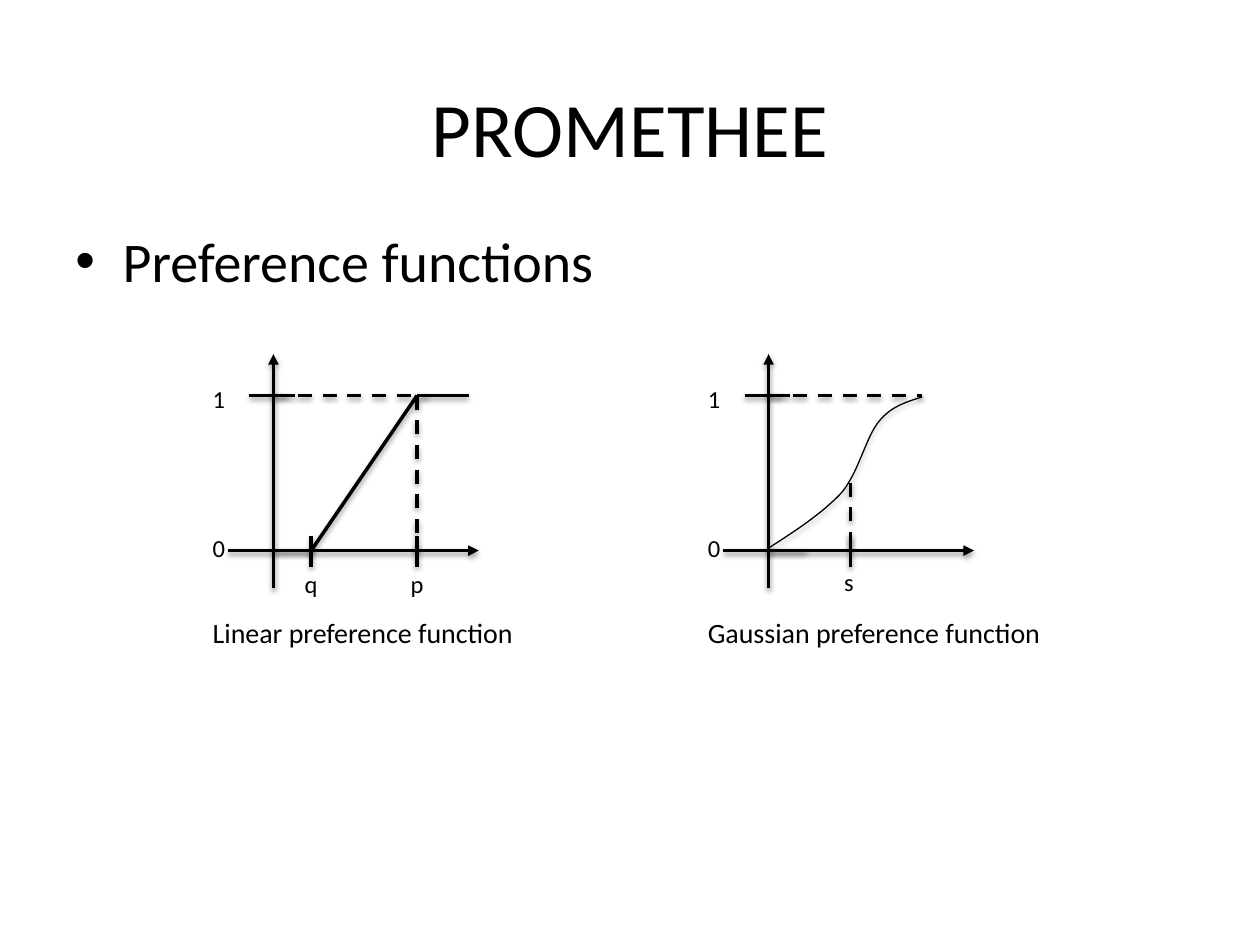
from lxml import etree
from pptx import Presentation
from pptx.dml.color import RGBColor
from pptx.enum.dml import MSO_LINE
from pptx.enum.shapes import MSO_CONNECTOR
from pptx.enum.text import MSO_ANCHOR, PP_ALIGN
from pptx.oxml.ns import qn
from pptx.util import Inches, Pt

STRAIGHT = MSO_CONNECTOR.STRAIGHT
DASH = MSO_LINE.DASH
LEFT, CENTER = PP_ALIGN.LEFT, PP_ALIGN.CENTER
TOP, MIDDLE = MSO_ANCHOR.TOP, MSO_ANCHOR.MIDDLE

# The slide is a grid of 100 columns and 75 rows
COLUMNS, ROWS = 100, 75
WIDTH, HEIGHT = Inches(10), Inches(7.5)

# Rows shared by both graphs
AXIS_TOP, ONE, ZERO, AXIS_BOTTOM = 28.1, 31.4, 43.7, 46.7
TICK_TOP, TICK_BOTTOM = 42.5, 45
LABEL_OFFSET = -5.8


def color(hex_string):
    return RGBColor.from_string(hex_string)


def bezier(p0, p1, p2, p3, steps=16):
    """Points along a cubic curve, without its starting point."""
    for step in range(1, steps + 1):
        t = step / steps
        u = 1 - t
        yield tuple(u**3 * a + 3 * u * u * t * b + 3 * u * t * t * c + t**3 * d
                    for a, b, c, d in zip(p0, p1, p2, p3))


class Canvas:
    font = "Calibri"
    ink = "000000"

    def __init__(self, slide):
        self.slide = slide

    def x(self, columns):
        return round(columns * WIDTH / COLUMNS)

    def y(self, rows):
        return round(rows * HEIGHT / ROWS)

    def text(self, words, left, top, width, height, size, align=LEFT, anchor=TOP):
        box = self.slide.shapes.add_textbox(
            self.x(left), self.y(top), self.x(width), self.y(height))
        frame = box.text_frame
        frame.word_wrap = True
        frame.vertical_anchor = anchor
        frame.text = words
        paragraph = frame.paragraphs[0]
        paragraph.alignment = align
        font = paragraph.runs[0].font
        font.name, font.size = self.font, Pt(size)
        font.color.rgb = color(self.ink)
        return paragraph

    def bullet(self, words, left, top, width, height, size):
        paragraph = self.text(words, left, top, width, height, size)
        paragraph.space_before = Pt(size * 0.2)
        properties = paragraph._p.get_or_add_pPr()
        indent = self.x(3.75)
        properties.set("marL", str(indent))
        properties.set("indent", str(-indent))
        etree.SubElement(properties, qn("a:buFont"), typeface="Arial")
        etree.SubElement(properties, qn("a:buChar"), char="•")

    def shadow(self, shape, opacity, distance):
        effects = etree.SubElement(shape._element.spPr, qn("a:effectLst"))
        outer = etree.SubElement(
            effects, qn("a:outerShdw"), blurRad=str(Pt(3.1)),
            dist=str(Pt(distance)), dir="5400000", rotWithShape="0")
        tint = etree.SubElement(outer, qn("a:srgbClr"), val=self.ink)
        etree.SubElement(tint, qn("a:alpha"), val=str(opacity * 1000))

    def line(self, x1, y1, x2, y2, dashed=False, arrow=False):
        line = self.slide.shapes.add_connector(
            STRAIGHT, self.x(x1), self.y(y1), self.x(x2), self.y(y2))
        line.line.color.rgb = color(self.ink)
        line.line.width = Pt(2)
        if dashed:
            line.line.dash_style = DASH
        if arrow:
            etree.SubElement(line.line._get_or_add_ln(), qn("a:tailEnd"), type="triangle")
        self.shadow(line, 38, 1.6)

    def curve(self, start, segments):
        points = [start]
        for segment in segments:
            points.extend(bezier(points[-1], *segment))
        places = [(self.x(column), self.y(row)) for column, row in points]
        builder = self.slide.shapes.build_freeform(*places[0])
        builder.add_line_segments(places[1:], close=False)
        curve = builder.convert_to_shape()
        curve.fill.background()
        curve.line.color.rgb = color(self.ink)
        curve.line.width = Pt(0.75)
        self.shadow(curve, 35, 1.8)

    def axes(self, origin, caption, caption_width):
        self.line(origin, AXIS_BOTTOM, origin, AXIS_TOP, arrow=True)
        self.line(origin - 3.6, ZERO, origin + 16.3, ZERO, arrow=True)
        self.line(origin - 1.9, ONE, origin + 1.7, ONE)
        self.line(origin, ZERO, origin + 3, ZERO)
        self.line(origin, ONE, origin + 12.2, ONE, dashed=True)
        left = origin + LABEL_OFFSET
        for value, top in (("1", 30), ("0", 41.8)):
            self.text(value, left, top, 3, 3.4, 14)
        self.text(caption, left, 48.4, caption_width, 3.7, 16)

    def threshold(self, name, column, label_top):
        self.line(column, TICK_TOP, column, TICK_BOTTOM)
        self.text(name, column - 1.5, label_top, 3.5, 3.4, 14)


def main():
    deck = Presentation()
    deck.slide_width, deck.slide_height = WIDTH, HEIGHT
    canvas = Canvas(deck.slides.add_slide(deck.slide_layouts[6]))

    # Heading and topic
    canvas.text("PROMETHEE", 5, 3.8, 90, 12.5, 44, CENTER, MIDDLE)
    canvas.bullet("Preference functions", 5, 17.5, 90, 49.5, 32)

    # Linear function: rises from q to p, then stays at 1
    linear = 21.7
    q, p = linear + 3, linear + 11.4
    canvas.axes(linear, "Linear preference function", 26.7)
    for name, column in (("q", q), ("p", p)):
        canvas.threshold(name, column, 44.7)
    canvas.line(q, ZERO, p, ONE)
    canvas.line(p, ONE, linear + 15.5, ONE)
    canvas.line(p, ONE, p, ZERO, dashed=True)

    # Gaussian function: bends at s
    gaussian = 61
    s = gaussian + 6.5
    canvas.axes(gaussian, "Gaussian preference function", 31)
    canvas.threshold("s", s, 44.5)
    canvas.line(s, 38.3, s, ZERO, dashed=True)
    canvas.curve((gaussian, 43.5), [
        ((63.2, 42.1), (65.3, 40.7), (66.8, 39.1)),
        ((68.2, 37.4), (68.7, 34.7), (69.8, 33.4)),
        ((70.8, 32.2), (72, 31.9), (73.2, 31.5)),
    ])

    deck.save("out.pptx")


if __name__ == "__main__":
    main()
